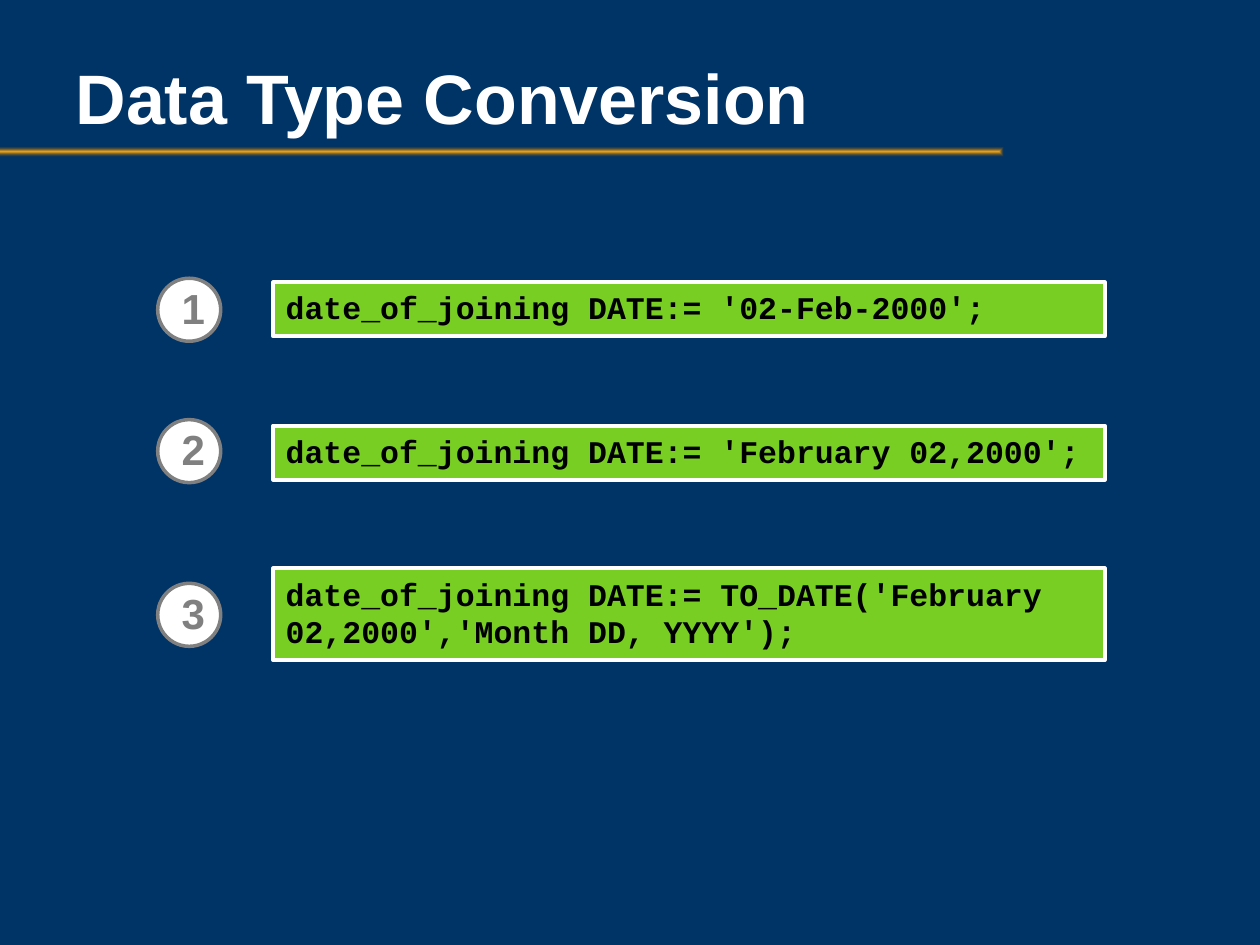
"""Build the slide on data type conversion."""
from dataclasses import dataclass

from lxml.etree import fromstring
from pptx import Presentation
from pptx.dml.color import RGBColor
from pptx.enum.shapes import MSO_SHAPE
from pptx.enum.text import MSO_ANCHOR, PP_ALIGN
from pptx.oxml.ns import nsdecls
from pptx.slide import Slide
from pptx.util import Cm, Pt


def color(value):
    return RGBColor.from_string(value)


@dataclass
class SlideBuilder:
    slide: Slide
    background: str = "003366"
    light: str = "FFFFFF"
    code_fill: str = "79CE24"
    code_text: str = "000000"
    badge_gray: str = "808080"
    bar_center: str = "FAA712"
    bar_edge: str = "744D08"
    heading_font: str = "Arial"
    code_font: str = "Courier New"

    def paint_background(self):
        fill = self.slide.background.fill
        fill.solid()
        fill.fore_color.rgb = color(self.background)

    def add_text(self, paragraph, text, font_name, size, text_color):
        run = paragraph.add_run()
        run.text = text
        run.font.name = font_name
        run.font.size = Pt(size)
        run.font.bold = True
        run.font.color.rgb = color(text_color)

    def add_shape(self, kind, left, top, width, height):
        shape = self.slide.shapes.add_shape(kind, Cm(left), Cm(top), Cm(width), Cm(height))
        shape.shadow.inherit = False
        return shape

    def add_outlined_shape(self, kind, box, fill, line, line_width):
        shape = self.add_shape(kind, *box)
        shape.fill.solid()
        shape.fill.fore_color.rgb = color(fill)
        shape.line.color.rgb = color(line)
        shape.line.width = Pt(line_width)
        return shape

    def add_title(self, text):
        title = self.slide.shapes.title
        title.left, title.top = Cm(1.27), Cm(0.46)
        title.width, title.height = Cm(21.79), Cm(2.97)
        frame = title.text_frame
        frame.vertical_anchor = MSO_ANCHOR.MIDDLE
        paragraph = frame.paragraphs[0]
        paragraph.alignment = PP_ALIGN.LEFT
        self.add_text(paragraph, text, self.heading_font, 40, self.light)

    def add_title_bar(self):
        bar = self.add_shape(MSO_SHAPE.RECTANGLE, -0.08, 2.95, 20.32, 0.2)
        bar.line.fill.background()
        bar.fill.gradient()
        gradient = fromstring(
            f'<a:gradFill {nsdecls("a")} rotWithShape="1"><a:gsLst>'
            f'<a:gs pos="0"><a:srgbClr val="{self.bar_center}"/></a:gs>'
            f'<a:gs pos="100000"><a:srgbClr val="{self.bar_edge}"><a:alpha val="0"/></a:srgbClr></a:gs>'
            '</a:gsLst><a:path path="rect">'
            '<a:fillToRect l="50000" t="50000" r="50000" b="50000"/></a:path></a:gradFill>'
        )
        properties = bar.element.spPr
        properties.replace(properties.find("{*}gradFill"), gradient)

    def add_code(self, text, top, height):
        box = (5.51, top, 16.76, height)
        shape = self.add_outlined_shape(MSO_SHAPE.RECTANGLE, box, self.code_fill, self.light, 2.25)
        frame = shape.text_frame
        frame.word_wrap = True
        frame.vertical_anchor = MSO_ANCHOR.TOP
        paragraph = frame.paragraphs[0]
        paragraph.alignment = PP_ALIGN.LEFT
        self.add_text(paragraph, text, self.code_font, 18, self.code_text)

    def add_badge(self, number, top):
        box = (3.18, top, 1.27, 1.27)
        shape = self.add_outlined_shape(MSO_SHAPE.OVAL, box, self.light, self.badge_gray, 2)
        frame = shape.text_frame
        frame.word_wrap = False
        frame.vertical_anchor = MSO_ANCHOR.MIDDLE
        frame.margin_left = frame.margin_right = Cm(0.13)
        frame.margin_top = frame.margin_bottom = Cm(0.13)
        paragraph = frame.paragraphs[0]
        paragraph.alignment = PP_ALIGN.RIGHT
        paragraph.line_spacing = 0.95
        self.add_text(paragraph, str(number), self.heading_font, 24, self.badge_gray)


def main():
    presentation = Presentation()
    presentation.slide_width, presentation.slide_height = Cm(25.4), Cm(19.05)
    builder = SlideBuilder(presentation.slides.add_slide(presentation.slide_layouts[5]))
    builder.paint_background()
    builder.add_title_bar()
    builder.add_title("Data Type Conversion")
    examples = [
        ("date_of_joining DATE:= '02-Feb-2000';", 5.69, 1.09, 5.61),
        ("date_of_joining DATE:= 'February 02,2000';", 8.58, 1.09, 8.46),
        ("date_of_joining DATE:= TO_DATE('February 02,2000','Month DD, YYYY');", 11.46, 1.85, 11.76),
    ]
    for number, (code, code_top, code_height, badge_top) in enumerate(examples, start=1):
        builder.add_code(code, code_top, code_height)
        builder.add_badge(number, badge_top)
    presentation.save("out.pptx")


if __name__ == "__main__":
    main()
